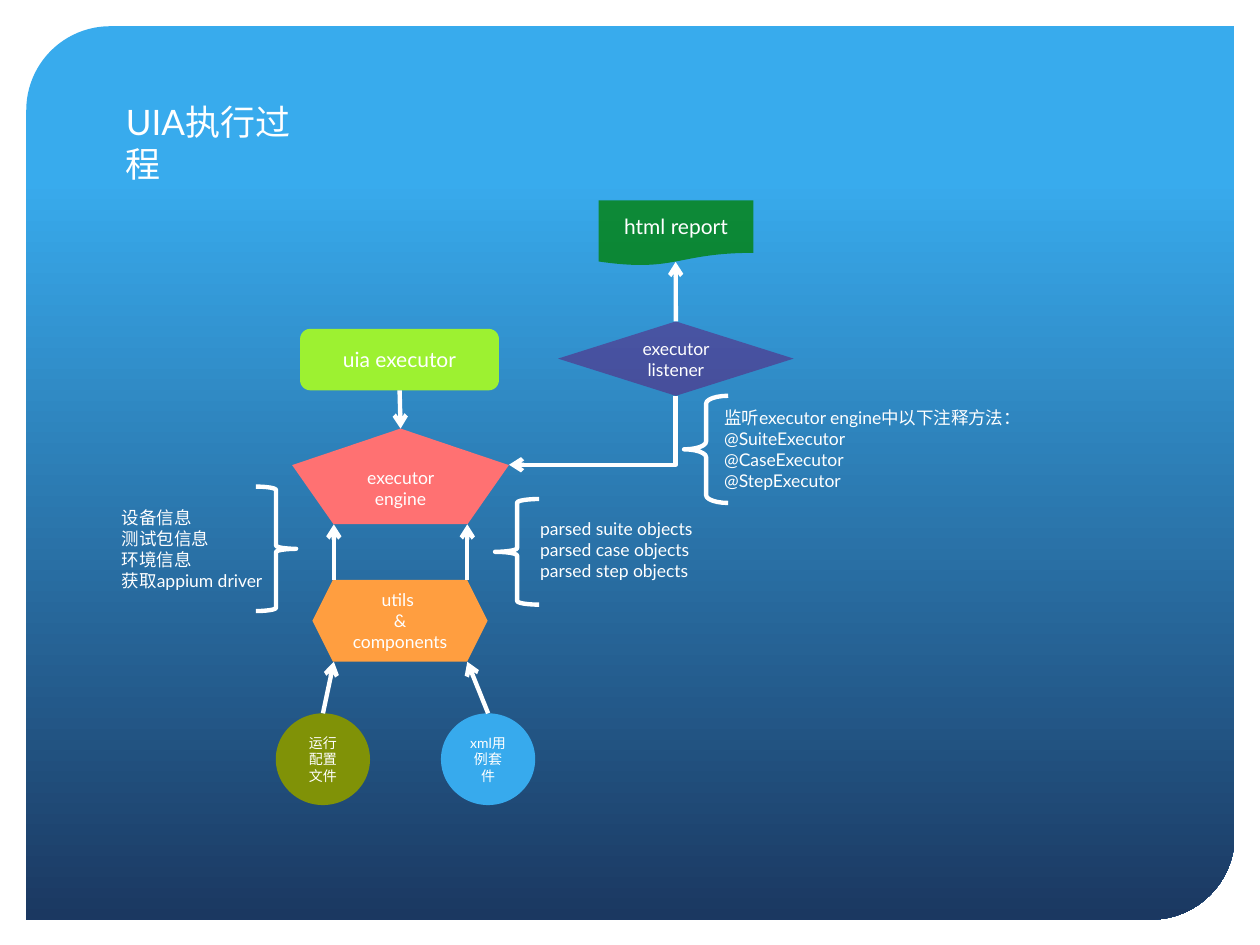
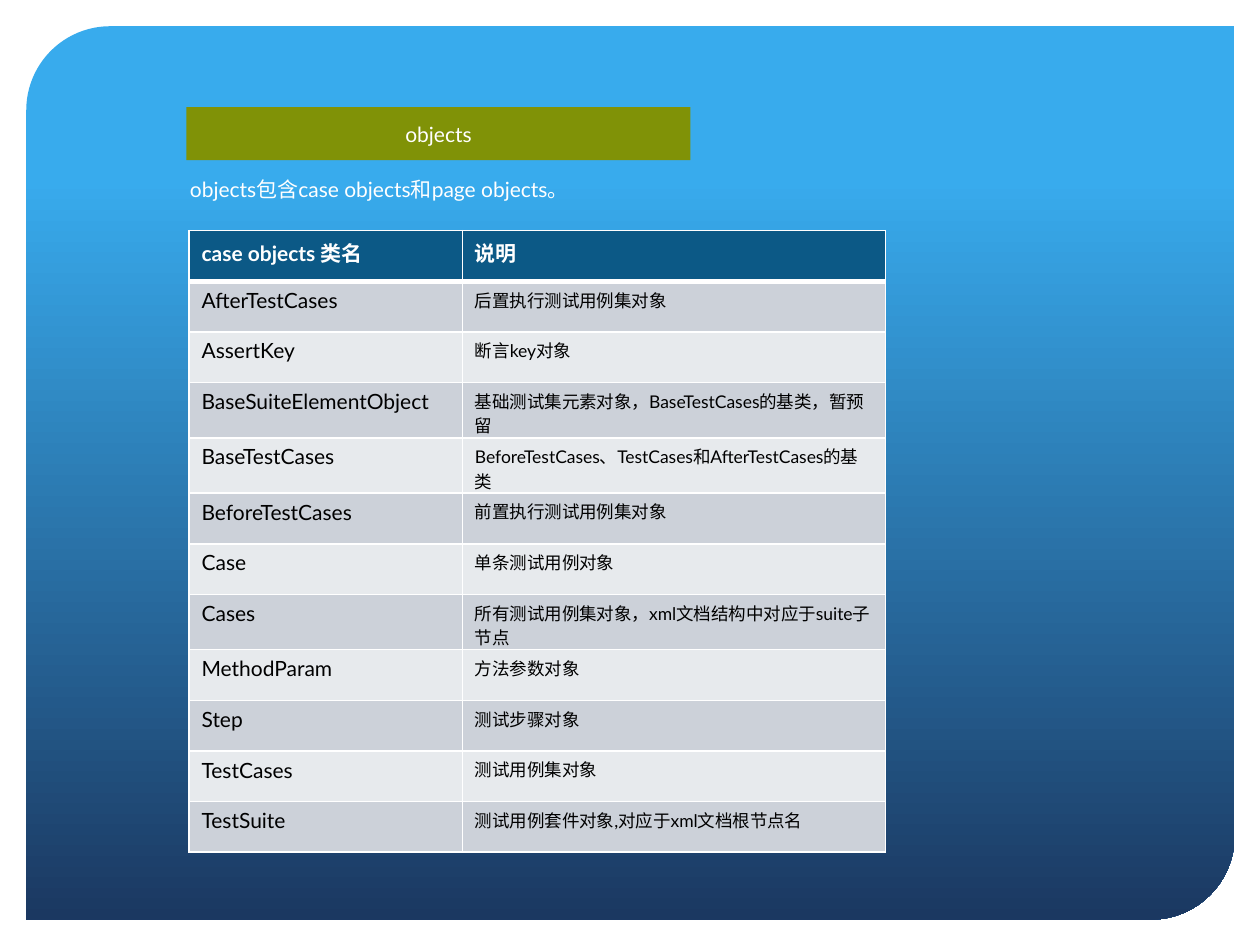
from dataclasses import dataclass

from lxml import etree
from pptx import Presentation
from pptx.dml.color import RGBColor
from pptx.enum import shapes as es, text as et
from pptx.oxml.ns import qn
from pptx.util import Cm, Pt

MSO = es.MSO_SHAPE


@dataclass(frozen=True)
class Theme:
    font: str = "Lato"
    white: str = "FFFFFF"
    black: str = "000000"
    sky: str = "38ABED"
    navy: str = "1B3861"
    blue: str = "37AAED"
    olive: str = "809207"
    orange: str = "FF9E40"
    coral: str = "FF7172"
    lime: str = "9DF131"
    green: str = "008000"
    plum: str = "660066"
    head: str = "0C5986"
    bands: tuple = ("CCD1D9", "E7EAED")
    title: int = 20
    large: int = 12
    body: int = 10
    small: int = 8
    stroke: float = 2.5


T = Theme()
rgb = RGBColor.from_string


# Shared helpers: lengths are centimetres
def write(frame, words, size, color=T.white, align=None, bold=False):
    frame.text = words
    frame.word_wrap = True
    for para in frame.paragraphs:
        para.alignment = align
        for run in para.runs:
            font = run.font
            font.name, font.size, font.bold = T.font, Pt(size), bold
            font.color.rgb = rgb(color)


def label(slide, box, words, size=T.body):
    area = slide.shapes.add_textbox(*map(Cm, box))
    write(area.text_frame, words, size)


def block(slide, kind, box, fill, words="", size=T.body, alpha=None):
    shape = slide.shapes.add_shape(kind, *map(Cm, box))
    shape.shadow.inherit = False
    shape.line.fill.background()
    shape.fill.solid()
    shape.fill.fore_color.rgb = rgb(fill)
    if alpha:
        color = shape.element.spPr.find(".//" + qn("a:srgbClr"))
        etree.SubElement(color, qn("a:alpha")).set("val", str(alpha * 1000))
    shape.text_frame.vertical_anchor = et.MSO_ANCHOR.MIDDLE
    write(shape.text_frame, words, size, align=et.PP_ALIGN.CENTER)
    return shape


def brace(slide, kind, box, curl=None):
    shape = slide.shapes.add_shape(kind, *map(Cm, box))
    shape.shadow.inherit = False
    shape.fill.background()
    shape.line.color.rgb = rgb(T.white)
    shape.line.width = Pt(T.stroke)
    if curl:
        shape.adjustments[0] = curl


def arrow(slide, start, end, kind=es.MSO_CONNECTOR.STRAIGHT):
    link = slide.shapes.add_connector(kind, *map(Cm, start + end))
    link.line.color.rgb = rgb(T.white)
    link.line.width = Pt(T.stroke)
    props = link.element.spPr
    tip = etree.SubElement(props.find(qn("a:ln")), qn("a:tailEnd"))
    tip.set("type", "arrow")
    etree.SubElement(props, qn("a:effectLst"))
    return link


def elbow(slide, start, end):
    """Arrow that runs down, then left."""
    link = arrow(slide, start, end, es.MSO_CONNECTOR.ELBOW)
    (x1, y1), (x2, y2) = start, end
    wide, high = x1 - x2, y2 - y1
    props = link.element.spPr
    props.find(qn("a:prstGeom")).set("prst", "bentConnector2")
    frame = props.find(qn("a:xfrm"))
    for flip in ("flipH", "flipV"):
        frame.attrib.pop(flip, None)
    frame.set("rot", str(90 * 60000))
    # The frame is stored before its quarter turn
    link.left = Cm((x1 + x2 - high) / 2)
    link.top = Cm((y1 + y2 - wide) / 2)
    link.width, link.height = Cm(high), Cm(wide)


def panel(slide):
    shape = block(slide, MSO.ROUND_2_DIAG_RECTANGLE,
                  (0.53, 0.53, 24.36, 18.01), T.sky)
    shape.adjustments[0] = 0.094
    shape.adjustments[1] = 0
    fill = shape.fill
    fill.gradient()
    fill.gradient_angle = 270
    for stop, place, color in zip(fill.gradient_stops, (0.17, 1), (T.sky, T.navy)):
        stop.position = place
        stop.color.rgb = rgb(color)


# Slide 1: flow of an execution
def flow(slide, left, top):
    def at(x, y, *size):
        return (left + x, top + y) + size

    # Engine and its helpers
    block(slide, MSO.HEXAGON, at(4.09, 7.65, 3.53, 1.65), T.orange,
          "utils \n&\ncomponents")
    engine = block(slide, MSO.REGULAR_PENTAGON, at(3.68, 4.6, 4.37, 1.93),
                   T.coral, "executor engine")
    runner = block(slide, MSO.ROUNDED_RECTANGLE, at(3.84, 2.59, 4.01, 1.24),
                   T.lime, "uia executor", T.large)
    link = arrow(slide, at(5.85, 3.83), at(5.87, 4.6))
    link.begin_connect(runner, 2)
    link.end_connect(engine, 0)

    # Input files, each feeding one corner of the hexagon
    inputs = ((3.35, 4.52, T.olive, "运行配置文件"),
              (6.68, 7.21, T.blue, "xml用例套件"))
    for x, corner, color, words in inputs:
        file = block(slide, MSO.OVAL, at(x, 10.34, 1.9, 1.85), color, words, T.small)
        arrow(slide, at(x + 0.95, 10.34), at(corner, 9.3)).begin_connect(file, 0)
        arrow(slide, at(corner, 7.65), at(corner, 6.53))

    # Listener and report
    block(slide, MSO.FLOWCHART_DOCUMENT, at(9.86, 0, 3.12, 1.32), T.green,
          "html report", T.large, 76)
    watch = block(slide, MSO.DIAMOND, at(9.04, 2.44, 4.75, 1.5), T.plum,
                  "executor listener", alpha=43)
    arrow(slide, at(11.41, 2.44), at(11.41, 1.24)).begin_connect(watch, 0)
    elbow(slide, at(11.41, 3.94), at(8.05, 5.33))

    # Braces with their notes
    brace(slide, MSO.LEFT_BRACE, at(7.77, 6.02, 0.89, 2.13))
    brace(slide, MSO.RIGHT_BRACE, at(2.95, 5.77, 0.81, 2.51))
    brace(slide, MSO.LEFT_BRACE, at(11.58, 3.94, 0.89, 2.16), 0.176)
    label(slide, at(8.43, 6.27, 3.73, 1.55),
          "parsed suite objects\nparsed case objects\nparsed step objects")
    label(slide, at(0, 6.05, 3.48, 1.96),
          "设备信息\n测试包信息\n环境信息\n获取appium driver")
    label(slide, at(12.14, 4.04, 6.65, 1.96),
          "监听executor engine中以下注释方法：\n"
          "@SuiteExecutor\n@CaseExecutor\n@StepExecutor")


# Slide 2: table of classes
ROWS = (
    ("case objects 类名", "说明"),
    ("AfterTestCases", "后置执行测试用例集对象"),
    ("AssertKey", "断言key对象"),
    ("BaseSuiteElementObject", "基础测试集元素对象，BaseTestCases的基类，暂预留"),
    ("BaseTestCases", "BeforeTestCases、TestCases和AfterTestCases的基类"),
    ("BeforeTestCases", "前置执行测试用例集对象"),
    ("Case", "单条测试用例对象"),
    ("Cases", "所有测试用例集对象，xml文档结构中对应于suite子节点"),
    ("MethodParam", "方法参数对象"),
    ("Step", "测试步骤对象"),
    ("TestCases", "测试用例集对象"),
    ("TestSuite", "测试用例套件对象,对应于xml文档根节点名"),
)


def border(cell, widths):
    props = cell._tc.get_or_add_tcPr()
    for spot, (side, width) in enumerate(zip("LRTB", widths)):
        line = etree.Element(qn("a:ln" + side), w=str(Pt(width)))
        fill = etree.SubElement(line, qn("a:solidFill"))
        etree.SubElement(fill, qn("a:srgbClr")).set("val", T.white)
        props.insert(spot, line)


def grid(slide, left, top, cols, high):
    size = (left, top, sum(cols), high * len(ROWS))
    table = slide.shapes.add_table(len(ROWS), len(cols), *map(Cm, size)).table
    for col, width in zip(table.columns, cols):
        col.width = Cm(width)
    for r, row in enumerate(ROWS):
        table.rows[r].height = Cm(high)
        for c, words in enumerate(row):
            cell = table.cell(r, c)
            cell.fill.solid()
            cell.fill.fore_color.rgb = rgb(T.bands[(r - 1) % 2] if r else T.head)
            note = r > 0 and c == 1
            write(cell.text_frame, words, T.body if note else T.large,
                  T.black if r else T.white, bold=r == 0)
            if note:
                cell.margin_bottom = 0
                cell.text_frame.paragraphs[0].line_spacing = Pt(14)
            border(cell, (1, 1, 3 if r == 1 else 1, 1 if r else 3))


def classes(slide, left, top):
    block(slide, MSO.RECTANGLE, (left + 0.18, top, 10.16, 1.07), T.olive,
          "objects", T.large)
    label(slide, (left, top + 1.27, 8.46, 0.76),
          "objects包含case objects和page objects。", T.large)
    grid(slide, left + 0.23, top + 2.49, (5.51, 8.53), 1.02)


def main():
    deck = Presentation()
    deck.slide_width, deck.slide_height = Cm(25.4), Cm(19.05)
    first, second = (deck.slides.add_slide(deck.slide_layouts[6]) for _ in range(2))
    for slide in (first, second):
        panel(slide)
    label(first, (2.29, 1.9, 4.45, 1.12), "UIA执行过程", T.title)
    flow(first, 2.21, 4.04)
    classes(second, 3.58, 2.16)
    deck.save("out.pptx")


if __name__ == "__main__":
    main()
